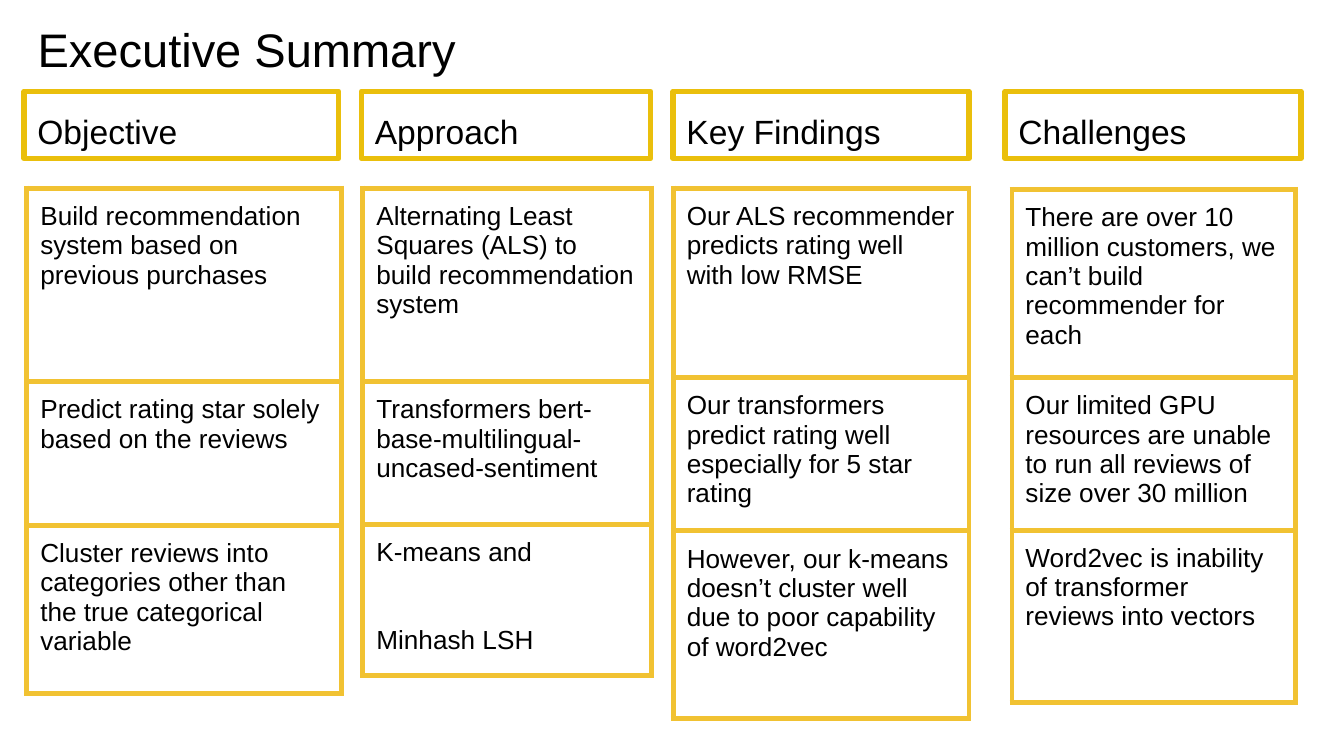
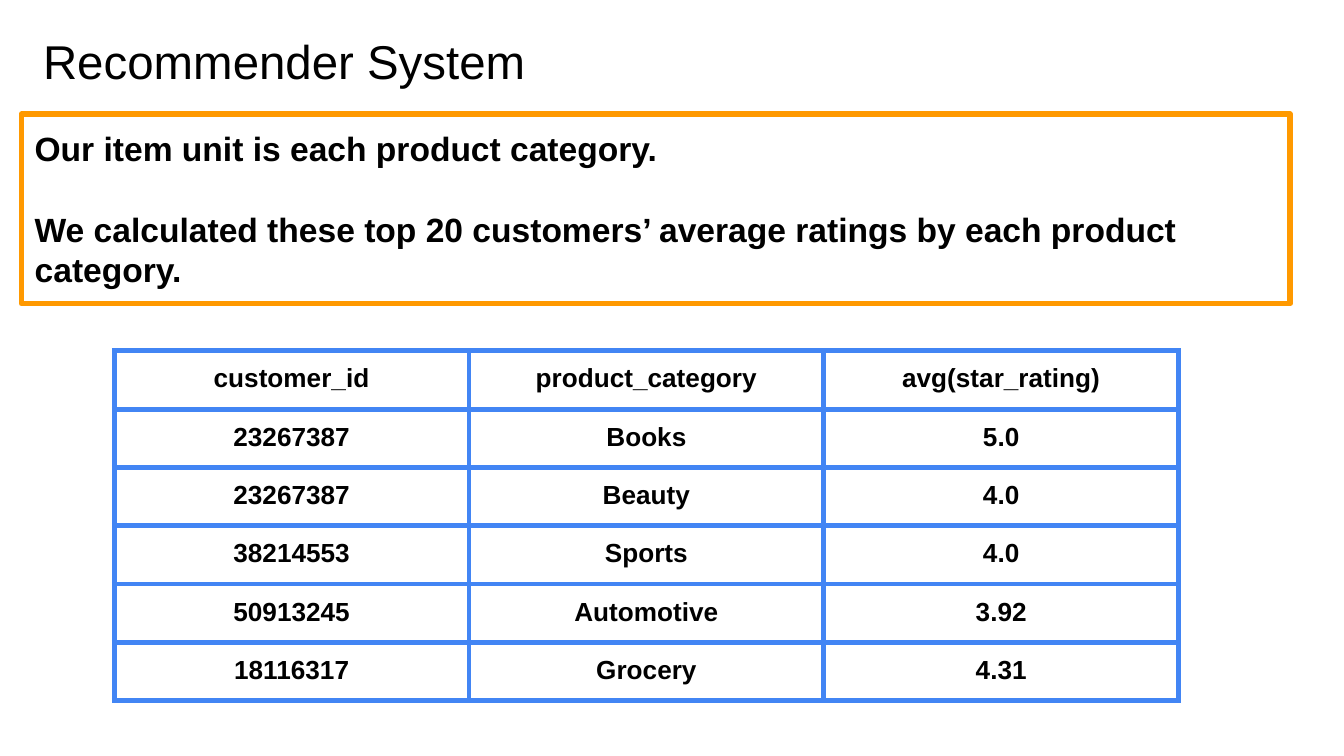
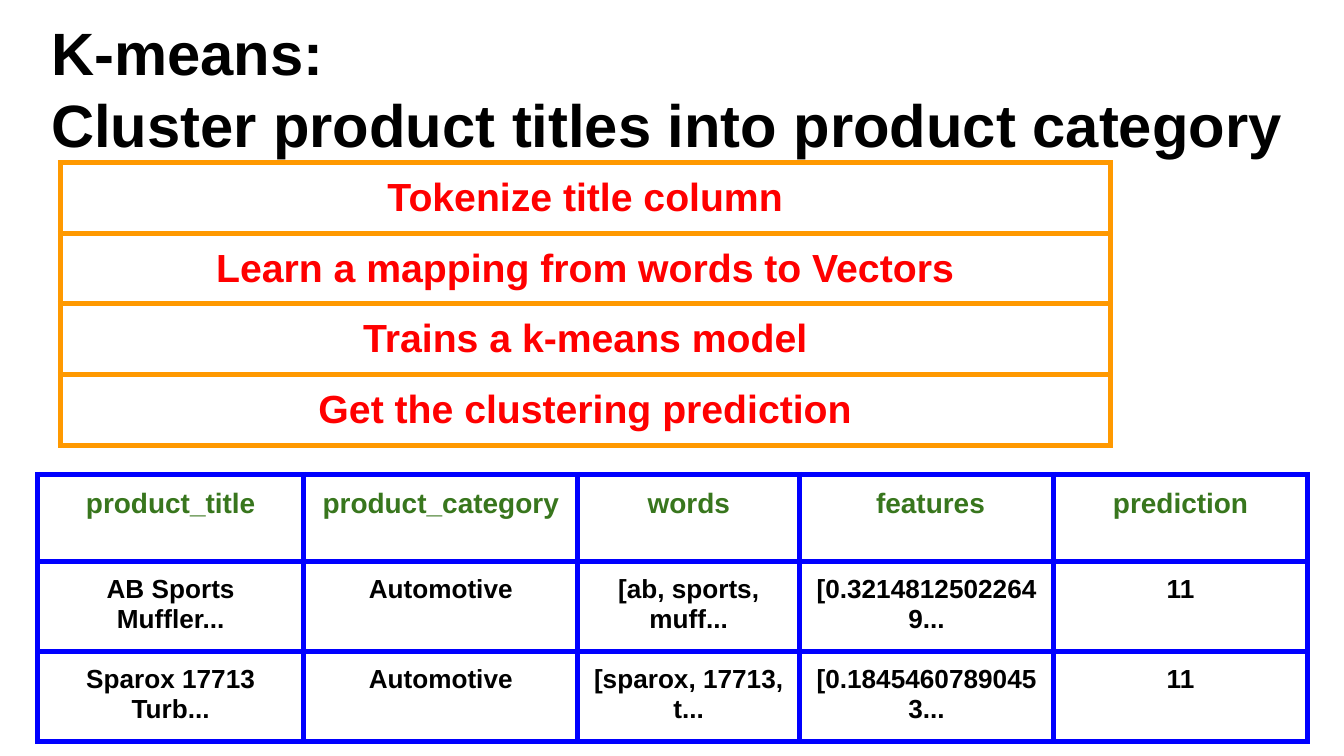
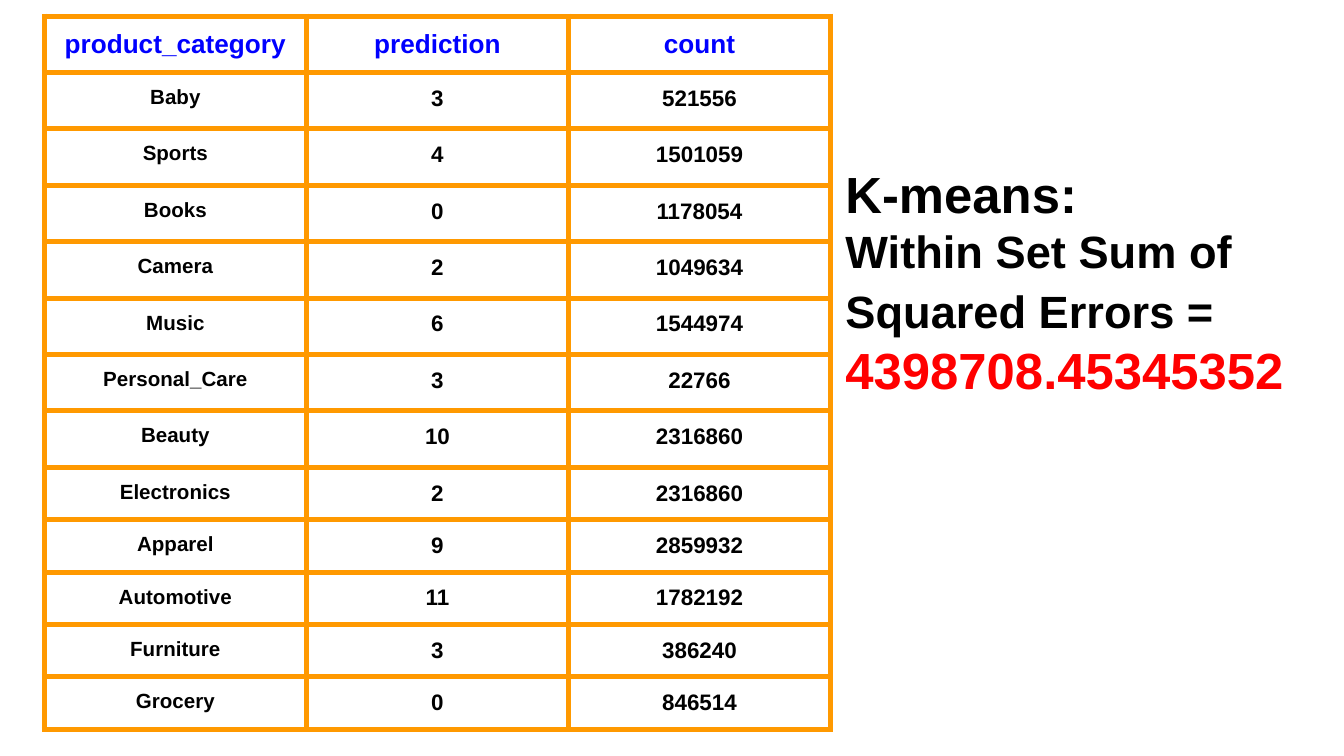
from lxml import etree
from pptx import Presentation
from pptx import util as u
from pptx.dml.color import RGBColor
from pptx.enum import shapes, text
from pptx.oxml import ns

FONT = "Arial"
BLACK = RGBColor(0x00, 0x00, 0x00)
RED = RGBColor(0xFF, 0x00, 0x00)
GREEN = RGBColor(0x38, 0x76, 0x1D)
BLUE = RGBColor(0x00, 0x00, 0xFF)
SKY = RGBColor(0x42, 0x85, 0xF4)
ORANGE = RGBColor(0xFF, 0x99, 0x00)
GOLD = RGBColor(0xEA, 0xBF, 0x0C)
YELLOW = RGBColor(0xF1, 0xC2, 0x32)
LEFT, CENTER = text.PP_ALIGN.LEFT, text.PP_ALIGN.CENTER
LINE_WIDTH = u.Pt(3)
TITLE_ONLY = 5

# heading, heading left, table left, top, heading width, table width, row heights, cells
SUMMARY = [
    ("Objective", 0.18, 0.2, 1.4, 2.34, 2.34, [1.44, 1.07, 1.25],
     ["Build recommendation system based on previous purchases",
      "Predict rating star solely based on the reviews",
      "Cluster reviews into categories other than the true categorical variable"]),
    ("Approach", 2.69, 2.7, 1.4, 2.15, 2.15, [1.44, 1.06, 1.13],
     ["Alternating Least Squares (ALS) to build recommendation system",
      "Transformers bert-base-multilingual-uncased-sentiment",
      "K-means and\nMinhash LSH"]),
    ("Key Findings", 5.01, 5.01, 1.4, 2.2, 2.2, [1.41, 1.14, 1.4],
     ["Our ALS recommender predicts rating well with low RMSE",
      "Our transformers predict rating well especially for 5 star rating",
      "However, our k-means doesn’t cluster well due to poor capability "
      "of word2vec"]),
    ("Challenges", 7.48, 7.53, 1.41, 2.2, 2.11, [1.4, 1.13, 1.28],
     ["There are over 10 million customers, we can’t build recommender for each",
      "Our limited GPU resources are unable to run all reviews of size "
      "over 30 million",
      "Word2vec is inability of transformer reviews into vectors"]),
]
RATINGS = [
    ("customer_id", "product_category", "avg(star_rating)"),
    ("23267387", "Books", "5.0"),
    ("23267387", "Beauty", "4.0"),
    ("38214553", "Sports", "4.0"),
    ("50913245", "Automotive", "3.92"),
    ("18116317", "Grocery", "4.31"),
]
STEPS = ["Tokenize title column", "Learn a mapping from words to Vectors",
         "Trains a k-means model", "Get the clustering prediction"]
PREDICTIONS = [
    ("product_title", "product_category", "words", " features", "prediction"),
    ("AB Sports Muffler...", "Automotive", "[ab, sports, muff...",
     "[0.32148125022649...", "11"),
    ("Sparox 17713 Turb...", "Automotive", "[sparox, 17713, t...",
     "[0.18454607890453...", "11"),
]
COUNTS = [
    ("product_category", "prediction", "count"),
    ("Baby", "3", "521556"),
    ("Sports", "4", "1501059"),
    ("Books", "0", "1178054"),
    ("Camera", "2", "1049634"),
    ("Music", "6", "1544974"),
    ("Personal_Care", "3", "22766"),
    ("Beauty", "10", "2316860"),
    ("Electronics", "2", "2316860"),
    ("Apparel", "9", "2859932"),
    ("Automotive", "11", "1782192"),
    ("Furniture", "3", "386240"),
    ("Grocery", "0", "846514"),
]


def write(tf, paragraphs, align=LEFT, gap=0, spacing=None):
    """Fill a text frame; each paragraph is a list of (text, size, colour, bold)."""
    for i, runs in enumerate(paragraphs):
        p = tf.paragraphs[0] if i == 0 else tf.add_paragraph()
        p.alignment = align
        if spacing:
            p.line_spacing = spacing
        if i and gap:
            p.space_before = u.Pt(gap)
        for words, size, colour, bold in runs:
            r = p.add_run()
            r.text = words
            r.font.name = FONT
            r.font.size = u.Pt(size)
            r.font.bold = bold
            r.font.color.rgb = colour


def set_frame(tf, auto_size):
    tf.word_wrap = True
    tf.auto_size = auto_size
    tf.vertical_anchor = text.MSO_ANCHOR.TOP
    tf.margin_left = tf.margin_right = u.Inches(0.1)
    tf.margin_top = tf.margin_bottom = u.Inches(0.1)


def add_slide(prs, box, title):
    s = prs.slides.add_slide(prs.slide_layouts[TITLE_ONLY])
    sp = s.shapes.title
    sp.left, sp.top, sp.width, sp.height = map(u.Inches, box)
    set_frame(sp.text_frame, text.MSO_AUTO_SIZE.NONE)
    write(sp.text_frame, title)
    return s


def add_frame(s, box, colour, paragraphs, **layout):
    """Add an outlined, unfilled rectangle holding text."""
    sp = s.shapes.add_shape(shapes.MSO_SHAPE.RECTANGLE, *map(u.Inches, box))
    sp.shadow.inherit = False
    sp.fill.background()
    sp.line.color.rgb = colour
    sp.line.width = LINE_WIDTH
    etree.SubElement(sp.line._get_or_add_ln(), ns.qn("a:round"))
    set_frame(sp.text_frame, text.MSO_AUTO_SIZE.SHAPE_TO_FIT_TEXT)
    write(sp.text_frame, paragraphs, **layout)


def set_borders(cell, colour):
    tc_pr = cell._tc.get_or_add_tcPr()
    for i, side in enumerate(("lnL", "lnR", "lnT", "lnB")):
        ln = etree.Element(ns.qn("a:" + side), w=str(LINE_WIDTH))
        fill = etree.SubElement(ln, ns.qn("a:solidFill"))
        etree.SubElement(fill, ns.qn("a:srgbClr"), val=str(colour))
        tc_pr.insert(i, ln)


def add_grid(s, left, top, widths, heights, rows, border, style,
             align=CENTER, gap=0):
    """Add a bordered table; style(row, col) gives (size, colour, bold)."""
    table = s.shapes.add_table(
        len(heights), len(widths), u.Inches(left), u.Inches(top),
        u.Inches(sum(widths)), u.Inches(sum(heights))).table
    table.first_row = table.horz_banding = False
    for column, width in zip(table.columns, widths):
        column.width = u.Inches(width)
    for i, (row, height) in enumerate(zip(rows, heights)):
        table.rows[i].height = u.Inches(height)
        for j, words in enumerate(row):
            cell = table.cell(i, j)
            cell.margin_left = cell.margin_right = u.Inches(0.1)
            cell.margin_top = cell.margin_bottom = u.Inches(0.1)
            cell.fill.background()
            set_borders(cell, border)
            write(cell.text_frame,
                  [[(line, *style(i, j))] for line in words.split("\n")],
                  align, gap)


def build_summary(prs):
    s = add_slide(prs, (0.18, 0.05, 9.32, 0.63),
                  [[("Executive Summary", 25.2, BLACK, False)]])
    for heading, x, table_x, top, width, table_width, heights, cells in SUMMARY:
        add_frame(s, (x, 0.68, width, 0.5), GOLD,
                  [[(heading, 18, BLACK, False)]], spacing=1.15)
        add_grid(s, table_x, top, [table_width], heights,
                 [(words,) for words in cells], YELLOW,
                 lambda i, j: (14, BLACK, False), LEFT, gap=31.5)


def build_recommender(prs):
    s = add_slide(prs, (0.22, 0.14, 9.32, 0.63),
                  [[("Recommender System", 25.4, BLACK, False)]])
    notes = ["Our item unit is each product category.",
             "We calculated these top 20 customers’ average ratings "
             "by each product category."]
    add_frame(s, (0.16, 0.85, 9.44, 1.41), ORANGE,
              [[(note, 18, BLACK, True)] for note in notes], gap=21.75)
    add_grid(s, 0.85, 2.61, [2.64] * 3, [0.43] * 6, RATINGS, SKY,
             lambda i, j: (14, BLACK, True))


def build_clustering(prs):
    lines = ["K-means:", "Cluster product titles into product category"]
    s = add_slide(prs, (0.28, 0.02, 9.55, 1.38),
                  [[(line, 32, BLACK, True)] for line in lines])
    add_grid(s, 0.45, 1.21, [7.81], [0.52] * 4, [(step,) for step in STEPS],
             ORANGE, lambda i, j: (21, RED, True))
    add_grid(s, 0.28, 3.53, [1.98, 2.04, 1.65, 1.89, 1.89],
             [0.65, 0.67, 0.67], PREDICTIONS, BLUE,
             lambda i, j: (14, BLACK, True) if i else (15, GREEN, True))


def build_errors(prs):
    s = add_slide(prs, (6.19, 1.11, 3.81, 1.97), [
        [("K-means:", 27.2, BLACK, True)],
        [("Within Set Sum of Squared Errors =", 24.2, BLACK, True),
         (" ", 27.2, BLACK, True),
         ("4398708.45345352", 27.2, RED, True)]])

    def style(i, j):
        if i == 0:
            return 14, BLUE, True
        return (12 if j else 11), BLACK, True

    add_grid(s, 0.33, 0.12, [1.95] * 3, [0.42] * 8 + [0.39] * 5, COUNTS,
             ORANGE, style)


def main():
    prs = Presentation()
    prs.slide_width = u.Inches(10)
    prs.slide_height = prs.slide_width * 9 // 16
    build_summary(prs)
    build_recommender(prs)
    build_clustering(prs)
    build_errors(prs)
    prs.save("out.pptx")


if __name__ == "__main__":
    main()
